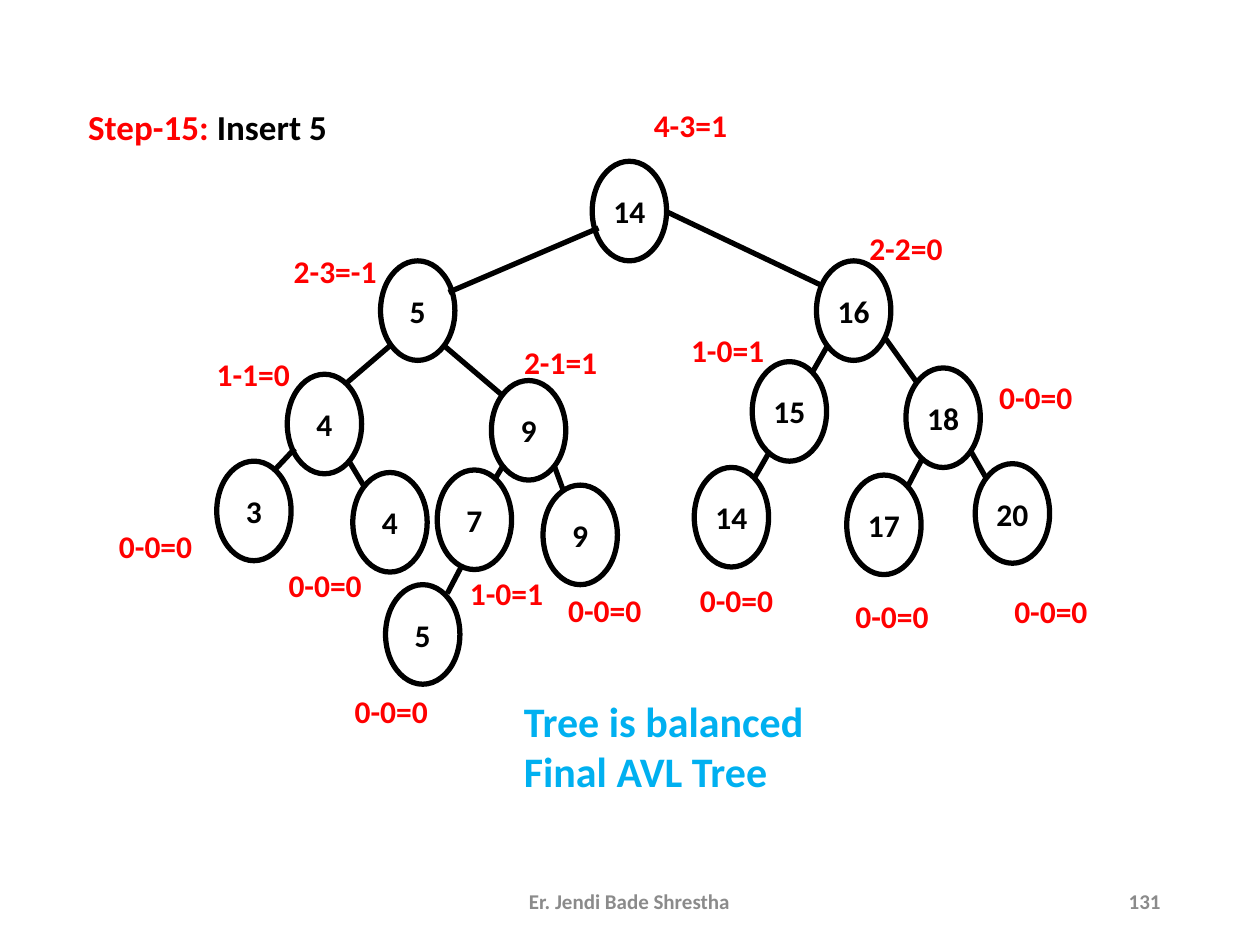
from typing import NamedTuple

from lxml.etree import SubElement
from pptx import Presentation
from pptx.dml.color import RGBColor
from pptx.enum.shapes import MSO_CONNECTOR as CONN, MSO_SHAPE as SHAPE
from pptx.enum.text import MSO_ANCHOR as ANCHOR, PP_ALIGN as ALIGN
from pptx.oxml.ns import qn
from pptx.util import Emu, Pt

PX_PER_INCH = 100
EMU_PER_PX = 914400 // PX_PER_INCH
NODE_W, NODE_H = 59, 79
LABEL_H = 40
LINE_W = Pt(3)
FONT = "Calibri"
BLACK = RGBColor(0x00, 0x00, 0x00)
WHITE = RGBColor(0xFF, 0xFF, 0xFF)
RED = RGBColor(0xFF, 0x00, 0x00)
BLUE = RGBColor(0x00, 0xB0, 0xF0)
GRAY = RGBColor(0x8B, 0x8B, 0x8B)


class Node(NamedTuple):
    key: str
    x: int
    y: int


class Edge(NamedTuple):
    x1: int
    y1: int
    x2: int
    y2: int


class Balance(NamedTuple):
    text: str
    x: int
    y: int
    w: int


NODES = [
    Node("14", 470, 128),
    Node("5", 302, 207), Node("16", 648, 207),
    Node("4", 228, 297), Node("9", 390, 302),
    Node("15", 597, 287), Node("18", 719, 292),
    Node("3", 172, 366), Node("4", 280, 375),
    Node("7", 347, 373), Node("9", 431, 385),
    Node("14", 551, 371), Node("17", 672, 377), Node("20", 774, 368),
    Node("5", 306, 464),
]

EDGES = [
    Edge(475, 181, 356, 232), Edge(529, 168, 651, 226),
    Edge(310, 274, 275, 304), Edge(352, 274, 399, 314),
    Edge(657, 274, 645, 295), Edge(703, 269, 728, 304),
    Edge(234, 356, 218, 373), Edge(277, 366, 289, 386),
    Edge(399, 370, 393, 380), Edge(440, 370, 447, 389),
    Edge(611, 358, 599, 379), Edge(732, 364, 721, 385),
    Edge(771, 359, 783, 380), Edge(366, 450, 355, 471),
]

BALANCES = [
    Balance("4-3=1", 506, 79, 84),
    Balance("2-3=-1", 220, 195, 92), Balance("2-2=0", 677, 177, 84),
    Balance("1-1=0", 133, 277, 136), Balance("2-1=1", 385, 267, 120),
    Balance("1-0=1", 514, 258, 127), Balance("0-0=0", 758, 295, 128),
    Balance("0-0=0", 72, 413, 103), Balance("0-0=0", 184, 444, 148),
    Balance("1-0=1", 337, 451, 130), Balance("0-0=0", 417, 464, 126),
    Balance("0-0=0", 529, 456, 111), Balance("0-0=0", 648, 469, 120),
    Balance("0-0=0", 770, 465, 128), Balance("0-0=0", 237, 544, 147),
]


def px(n: int) -> Emu:
    return Emu(n * EMU_PER_PX)


def add_run(p, text: str, *, size: int = 18, color: RGBColor = BLACK) -> None:
    r = p.add_run()
    r.text = text
    r.font.name = FONT
    r.font.size = Pt(size)
    r.font.bold = True
    r.font.color.rgb = color


def add_text(s, text: str, x: int, y: int, w: int, h: int, *,
             size: int = 18, color: RGBColor = RED, align=ALIGN.CENTER,
             anchor=ANCHOR.TOP, wrap: bool = True) -> None:
    tf = s.shapes.add_textbox(px(x), px(y), px(w), px(h)).text_frame
    tf.word_wrap = wrap
    tf.vertical_anchor = anchor
    for i, line in enumerate(text.split("\n")):
        p = tf.add_paragraph() if i else tf.paragraphs[0]
        p.alignment = align
        add_run(p, line, size=size, color=color)


def add_node(s, node: Node) -> None:
    sp = s.shapes.add_shape(SHAPE.OVAL, px(node.x), px(node.y), px(NODE_W), px(NODE_H))
    sp.shadow.inherit = False
    sp.fill.solid()
    sp.fill.fore_color.rgb = WHITE
    sp.line.color.rgb = BLACK
    sp.line.width = LINE_W
    tf = sp.text_frame
    tf.margin_left = tf.margin_right = tf.margin_top = tf.margin_bottom = 0
    tf.vertical_anchor = ANCHOR.MIDDLE
    p = tf.paragraphs[0]
    p.alignment = ALIGN.CENTER
    add_run(p, node.key)


def add_edge(s, edge: Edge) -> None:
    sp = s.shapes.add_connector(CONN.STRAIGHT, *map(px, edge))
    sp.line.color.rgb = BLACK
    sp.line.width = LINE_W
    SubElement(sp._element.spPr, qn("a:effectLst"))


def set_title(s) -> None:
    sp = s.shapes.title
    sp.left, sp.top, sp.width, sp.height = map(px, (60, 79, 242, 43))
    tf = sp.text_frame
    tf.vertical_anchor = ANCHOR.TOP
    p = tf.paragraphs[0]
    p.alignment = ALIGN.LEFT
    add_run(p, "Step-15: ", size=20, color=RED)
    add_run(p, "Insert 5", size=20)


def main() -> None:
    prs = Presentation()
    prs.slide_width, prs.slide_height = px(1000), px(750)
    s = prs.slides.add_slide(prs.slide_layouts.get_by_name("Title Only"))
    set_title(s)
    for node in NODES:
        add_node(s, node)
    for edge in EDGES:
        add_edge(s, edge)
    for b in BALANCES:
        add_text(s, b.text, b.x, b.y, b.w, LABEL_H, wrap=False)
    add_text(s, "Tree is balanced\nFinal AVL Tree", 406, 547, 492, 90,
             size=24, color=BLUE, align=ALIGN.LEFT)
    add_text(s, "Er. Jendi Bade Shrestha", 331, 695, 337, 40,
             size=12, color=GRAY, anchor=ANCHOR.MIDDLE)
    add_text(s, "131", 706, 695, 225, 40,
             size=12, color=GRAY, align=ALIGN.RIGHT, anchor=ANCHOR.MIDDLE)
    prs.save("out.pptx")


if __name__ == "__main__":
    main()
